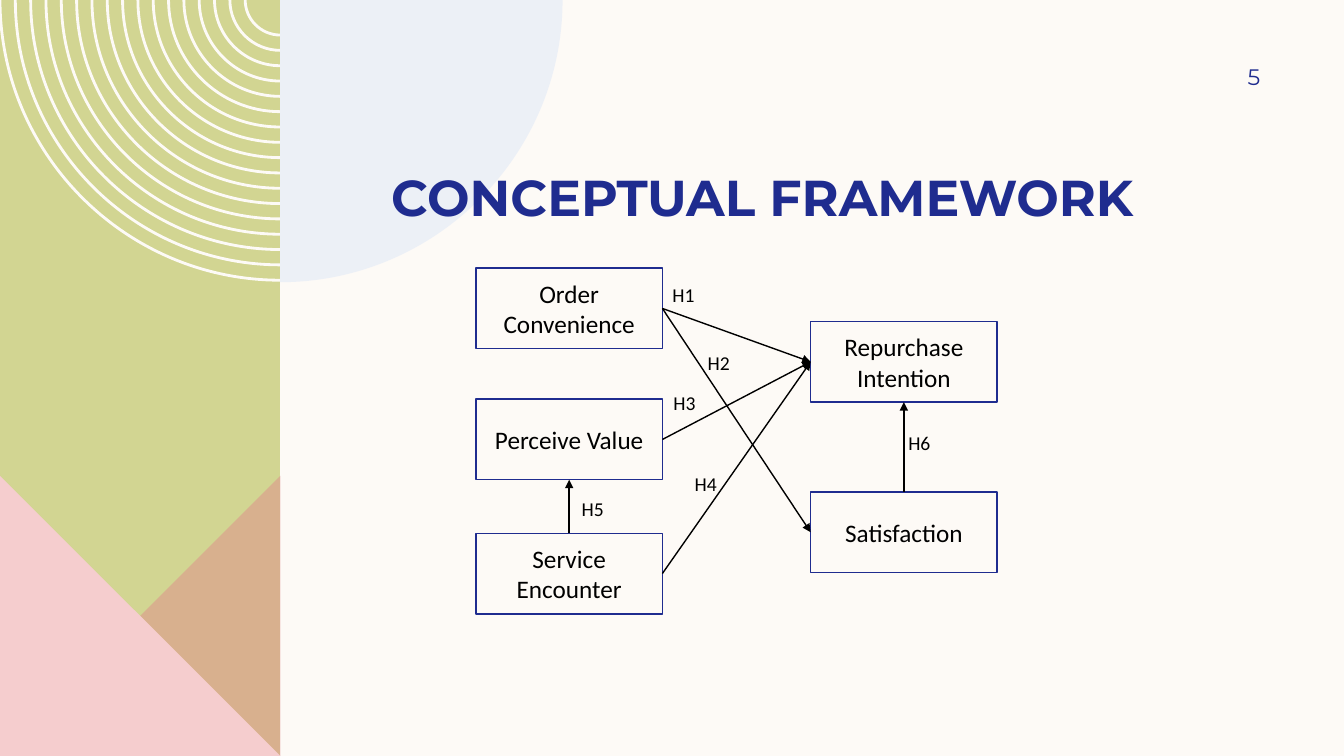
from lxml import etree
from pptx import Presentation
from pptx.dml.color import RGBColor
from pptx.enum.shapes import MSO_CONNECTOR, MSO_SHAPE
from pptx.enum.text import MSO_ANCHOR, MSO_AUTO_SIZE, PP_ALIGN
from pptx.oxml.ns import qn
from pptx.util import Inches, Pt

RECT, STRAIGHT = MSO_SHAPE.RECTANGLE, MSO_CONNECTOR.STRAIGHT
TOP, MIDDLE, BOTTOM = MSO_ANCHOR.TOP, MSO_ANCHOR.MIDDLE, MSO_ANCHOR.BOTTOM
LEFT, CENTER, RIGHT = PP_ALIGN.LEFT, PP_ALIGN.CENTER, PP_ALIGN.RIGHT
GROW = MSO_AUTO_SIZE.SHAPE_TO_FIT_TEXT

CREAM = RGBColor(0xFD, 0xFA, 0xF6)
GREEN = RGBColor(0xD2, 0xD5, 0x92)
ROSE = RGBColor(0xDE, 0x8C, 0x8C)
PINK = RGBColor(0xF5, 0xCD, 0xCE)
PALE_BLUE = RGBColor(0xDD, 0xE7, 0xF6)
NAVY = RGBColor(0x1F, 0x2C, 0x8F)
BLACK = RGBColor(0, 0, 0)

SLIDE_W, SLIDE_H = 13.33, 7.5
PANEL_W = 2.78
TRIANGLE_TOP = SLIDE_H - PANEL_W

HEADING = {"name": "Montserrat", "size": Pt(36), "bold": True}
NUMBER = {"name": "Montserrat", "size": Pt(16)}
BOX = {"name": "Calibri", "size": Pt(18)}
LABEL = {"name": "Calibri", "size": Pt(14)}

prs = Presentation()
prs.slide_width, prs.slide_height = Inches(SLIDE_W), Inches(SLIDE_H)
s = prs.slides.add_slide(prs.slide_layouts[6])
s.background.fill.solid()
s.background.fill.fore_color.rgb = CREAM


def add_outline(contours, color, alpha=None, stroke=None, curved=False):
    """Fill or stroke contours in inches; a curved one starts with a Bezier."""
    contours = [[(Inches(x), Inches(y)) for x, y in c] for c in contours]
    fb = s.shapes.build_freeform(*contours[0][0])
    for i, points in enumerate(contours):
        if i:
            fb.move_to(*points[0])
        fb.add_line_segments(points[1:], close=not stroke)
    sp = fb.convert_to_shape()
    sp.shadow.inherit = False
    if stroke:
        sp.fill.background()
        sp.line.color.rgb = color
        sp.line.width = Pt(stroke)
    else:
        sp.line.fill.background()
        sp.fill.solid()
        sp.fill.fore_color.rgb = color
    if alpha:
        clr = sp._element.spPr.find(qn("a:solidFill"))[0]
        etree.SubElement(clr, qn("a:alpha"), val=str(alpha * 1000))
    if curved:
        for start in list(sp._element.iter(qn("a:moveTo"))):
            segments = list(start.itersiblings())[:3]
            curve = etree.Element(qn("a:cubicBezTo"))
            start.addnext(curve)
            for segment in segments:
                curve.append(segment[0])
                segment.getparent().remove(segment)


def write(sp, text, font, color, align=LEFT, anchor=TOP):
    tf = sp.text_frame
    tf.word_wrap = True
    tf.vertical_anchor = anchor
    p = tf.paragraphs[0]
    p.alignment = align
    r = p.add_run()
    r.text = text
    for name, value in font.items():
        setattr(r.font, name, value)
    r.font.color.rgb = color
    return tf


# Decorative panel: QUARTER holds the Bezier points of a unit quarter circle
QUARTER = [(1, 0), (1, 0.55), (0.55, 1), (0, 1)]
RINGS, RING_STEP, RING_R, DISC_R = 17, 0.152, 2.78, 2.8

add_outline([[(0, 0), (PANEL_W, 0), (PANEL_W, SLIDE_H), (0, SLIDE_H)]], GREEN)
radii = [RING_R - i * RING_STEP for i in range(RINGS)]
rings = [[(PANEL_W - radius * x, radius * y) for x, y in QUARTER] for radius in radii]
add_outline(rings, CREAM, stroke=2, curved=True)
add_outline([[(PANEL_W, TRIANGLE_TOP), (PANEL_W, SLIDE_H), (0, SLIDE_H)]], ROSE, 50)
add_outline([[(0, TRIANGLE_TOP), (PANEL_W, SLIDE_H), (0, SLIDE_H)]], PINK)
disc = [(PANEL_W + DISC_R * x, DISC_R * y) for x, y in QUARTER]
add_outline([disc + [(PANEL_W, 0)]], PALE_BLUE, 50, curved=True)

# Slide number and title
sp = s.shapes.add_textbox(Inches(11.33), Inches(0.5), Inches(1.17), Inches(0.52))
tf = write(sp, "5", NUMBER, NAVY, RIGHT, MIDDLE)
tf.margin_right = 0
sp = s.shapes.add_textbox(Inches(3.78), Inches(1.16), Inches(8.71), Inches(1.09))
tf = write(sp, "CONCEPTUAL FRAMEWORK", HEADING, NAVY, anchor=BOTTOM)
tf.margin_top = tf.margin_bottom = 0

# Framework boxes
CAUSE_COL, EFFECT_COL = 4.72, 8.04
BOX_W, BOX_H = 1.85, 0.8
boxes = {}
for text, x, y in [
    ("Order Convenience", CAUSE_COL, 2.66),
    ("Satisfaction", EFFECT_COL, 4.88),
    ("Repurchase Intention", EFFECT_COL, 3.19),
    ("Perceive Value", CAUSE_COL, 3.96),
    ("Service Encounter", CAUSE_COL, 5.29),
]:
    sp = s.shapes.add_shape(RECT, Inches(x), Inches(y), Inches(BOX_W), Inches(BOX_H))
    sp.shadow.inherit = False
    sp.fill.solid()
    sp.fill.fore_color.rgb = CREAM
    sp.line.color.rgb = NAVY
    sp.line.width = Pt(1)
    write(sp, text, BOX, BLACK, CENTER, MIDDLE)
    boxes[text] = sp

# Hypotheses: an arrow between two boxes and its label
SITE_TOP, SITE_LEFT, SITE_BOTTOM, SITE_RIGHT = range(4)
ACROSS, UP = (SITE_RIGHT, SITE_LEFT), (SITE_TOP, SITE_BOTTOM)
for label, source, target, sites, x, y, w in [
    ("H1", "Order Convenience", "Repurchase Intention", ACROSS, 6.57, 2.76, 0.57),
    ("H2", "Order Convenience", "Satisfaction", ACROSS, 6.92, 3.43, 0.57),
    ("H3", "Perceive Value", "Repurchase Intention", ACROSS, 6.58, 3.83, 0.62),
    ("H4", "Service Encounter", "Repurchase Intention", ACROSS, 6.79, 4.63, 0.62),
    ("H5", "Service Encounter", "Perceive Value", UP, 5.67, 4.88, 0.62),
    ("H6", "Satisfaction", "Repurchase Intention", UP, 8.91, 4.23, 0.81),
]:
    arrow = s.shapes.add_connector(STRAIGHT, 0, 0, 0, 0)
    arrow.begin_connect(boxes[source], sites[0])
    arrow.end_connect(boxes[target], sites[1])
    arrow.line.color.rgb = BLACK
    arrow.line.width = Pt(1)
    etree.SubElement(arrow.line._get_or_add_ln(), qn("a:tailEnd"), type="triangle")
    etree.SubElement(arrow._element.spPr, qn("a:effectLst"))
    sp = s.shapes.add_textbox(Inches(x), Inches(y), Inches(w), Inches(0.34))
    tf = write(sp, label, LABEL, BLACK)
    tf.auto_size = GROW

prs.save("out.pptx")
